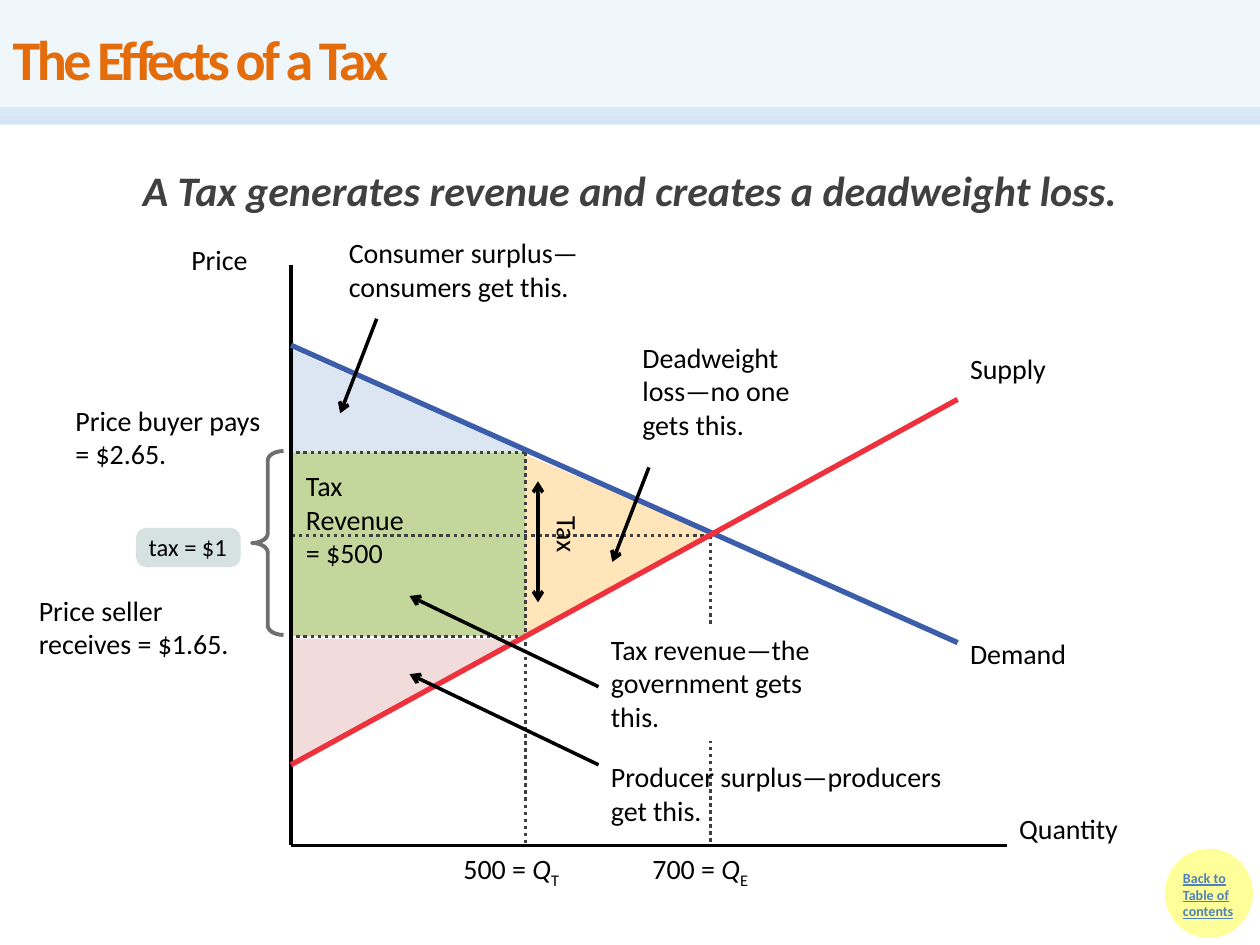
from dataclasses import dataclass

from lxml.etree import SubElement
from pptx import Presentation
from pptx.dml.color import RGBColor
from pptx.enum.dml import MSO_LINE
from pptx.enum.shapes import MSO_CONNECTOR, MSO_SHAPE
from pptx.enum.text import MSO_ANCHOR, MSO_AUTO_SIZE, PP_ALIGN
from pptx.oxml.ns import qn
from pptx.util import Inches, Pt

COLUMNS, ROWS = 100, 75
CELL = Inches(10) / COLUMNS
FONT = "Calibri"
BLACK, GREY = "000000", "404040"

# Key columns and rows of the supply and demand diagram
AXIS, TAXED, BALANCE, CURVE_END = 23.1, 41.7, 56.4, 76
BUYER_PRICE, BALANCE_PRICE, SELLER_PRICE, BASE = 35.9, 42.5, 50.5, 67.1
DEMAND_TOP, SUPPLY_BOTTOM = 27.4, 60.7


@dataclass
class Area:
    kind: MSO_SHAPE
    column: float
    row: float
    width: float
    height: float
    fill: str | None
    turn: float = 0
    flipped: bool = False
    adjustments: tuple[float, ...] = ()
    outline: str | None = None
    weight: float = 0


@dataclass
class Stroke:
    start: tuple[float, float]
    end: tuple[float, float]
    color: str = BLACK
    weight: float = 2
    dotted: bool = False
    arrows: tuple[str, ...] = ()


@dataclass
class Label:
    """Text whose paragraphs are split by line breaks; a subscript follows an italic Q."""
    text: str
    column: float
    row: float
    width: float
    height: float
    size: float = 16
    color: str = BLACK
    bold: bool = False
    italic: bool = False
    underline: bool = False
    centred: bool = False
    wrap: bool = True
    turn: float = 0
    fill: str | None = None
    inset: bool = True
    subscript: str = ""


AREAS = [
    Area(MSO_SHAPE.RIGHT_TRIANGLE, AXIS, 50.7, TAXED - AXIS, 10, "F2DCDB", flipped=True),
    Area(MSO_SHAPE.ISOSCELES_TRIANGLE, 41.9, BUYER_PRICE, 14.6, 15, "FFE5B9",
         turn=90, adjustments=(0.43,)),
    Area(MSO_SHAPE.RIGHT_TRIANGLE, AXIS, 27.7, TAXED - AXIS, 8.2, "DCE6F2"),
    Area(MSO_SHAPE.RECTANGLE, AXIS, BUYER_PRICE, TAXED - AXIS,
         SELLER_PRICE - BUYER_PRICE, "C3D69B"),
    Area(MSO_SHAPE.LEFT_BRACE, 20, 35.8, 2.5, 14.6, None,
         adjustments=(0.3, 0.5), outline="6D6F71", weight=2.25),
    Area(MSO_SHAPE.ROUNDED_RECTANGLE, 10.8, 41.9, 8.3, 3.1, "D6E2E0", adjustments=(0.25,)),
]

GUIDES = [
    Stroke(start, end, GREY, dotted=True)
    for start, end in [
        ((TAXED, BUYER_PRICE), (TAXED, BASE)),
        ((TAXED, BUYER_PRICE), (AXIS, BUYER_PRICE)),
        ((TAXED, SELLER_PRICE), (AXIS, SELLER_PRICE)),
        ((BALANCE, BALANCE_PRICE), (AXIS, BALANCE_PRICE)),
        ((BALANCE, BALANCE_PRICE), (BALANCE, BASE)),
    ]
]
AXES = [Stroke((AXIS, 21), (AXIS, BASE)), Stroke((AXIS, BASE), (79.9, BASE))]
CURVES = [
    Stroke((AXIS, DEMAND_TOP), (CURVE_END, 51), "3C5DAA", 3),
    Stroke((AXIS, SUPPLY_BOTTOM), (CURVE_END, 31.7), "EE313C", 3),
]
TAX_SPAN = Stroke((42.7, 38.2), (42.7, 47.8), arrows=("headEnd", "tailEnd"))
POINTERS = [
    Stroke(start, end, arrows=("tailEnd",))
    for start, end in [
        ((29.9, 25.3), (27, 32.8)),
        ((47.5, 60.7), (32.5, 53.5)),
        ((51.5, 37.1), (48.6, 44.6)),
        ((47.5, 54.5), (32.5, 47.3)),
    ]
]

LABELS = [
    Label("A Tax generates revenue and creates a deadweight loss.", 0, 12.6, COLUMNS, 5,
          24, GREY, bold=True, italic=True, centred=True),
    Label("Price", 14.2, 18.8, 6.6, 3.7, wrap=False),
    Label("Quantity", 79.9, 63.9, 13.4, 3.7),
    Label("Demand", CURVE_END, 50, 10.1, 3.7, wrap=False),
    Label("Supply", CURVE_END, 27.4, 8.5, 3.7, wrap=False),
    Label("Consumer surplus— consumers get this.", 26.7, 18.2, 26.7, 6.4),
    Label("Deadweight loss—no one gets this.", 50, 26.5, 16.6, 9.1),
    Label("Price buyer pays = $2.65.", 5, 31.5, 17.5, 6.4),
    Label("Price seller receives = $1.65.", 2.1, 46.6, 19.2, 6.4),
    Label("500 = ", 35.8, BASE, 14.5, 3.7, subscript="T"),
    Label("700 = ", 50.8, BASE, 18.9, 3.7, subscript="E"),
    Label("Tax", 42.5, 40.7, 5.1, 3.7, wrap=False, turn=90),
    Label("Tax revenue—the government gets this.", 47.5, 49.7, 20.8, 9.1, fill="FFFFFF"),
    Label("Producer surplus—producers get this.", 47.5, 59.8, 29.2, 6.4),
    Label("Tax Revenue\n= $500", 23.3, 36.7, 12.7, 9.4),
    Label("tax = $1", 11.8, 42.2, 7.4, 2.4, 14, inset=False),
]

HEADER_HEIGHT = 9.2
HEADER_RULE = Stroke((0, HEADER_HEIGHT), (COLUMNS, HEADER_HEIGHT), "C6D9F1", 10)
BACK_BUTTON = Area(MSO_SHAPE.OVAL, 92.6, 67.5, 6.7, 6.8, "FFFF99",
                   outline="FFFF99", weight=2)
BACK_LABEL = Label("Back to Table of contents", 92.9, 68.5, 7.2, 6.7, 8, "4F81BD",
                   bold=True, underline=True)


def cells(*counts: float) -> list[int]:
    return [round(count * CELL) for count in counts]


def paint(target, color: str) -> None:
    """Give a fill one solid colour."""
    target.solid()
    target.fore_color.rgb = RGBColor.from_string(color)


def set_opacity(shape, percent: int) -> None:
    for color in shape._element.spPr.iter(qn("a:srgbClr")):
        SubElement(color, qn("a:alpha")).set("val", str(percent * 1000))


def draw_area(page, area: Area) -> None:
    shape = page.shapes.add_shape(
        area.kind, *cells(area.column, area.row, area.width, area.height))
    shape.shadow.inherit = False
    shape.rotation = area.turn
    for index, value in enumerate(area.adjustments):
        shape.adjustments[index] = value
    if area.flipped:
        shape._element.spPr.find(qn("a:xfrm")).set("flipV", "1")
    for target, color in ((shape.fill, area.fill), (shape.line.fill, area.outline)):
        if color:
            paint(target, color)
        else:
            target.background()
    if area.outline:
        shape.line.width = Pt(area.weight)


def draw_stroke(page, stroke: Stroke):
    connector = page.shapes.add_connector(
        MSO_CONNECTOR.STRAIGHT, *cells(*stroke.start, *stroke.end))
    paint(connector.line.fill, stroke.color)
    connector.line.width = Pt(stroke.weight)
    if stroke.dotted:
        connector.line.dash_style = MSO_LINE.ROUND_DOT
    properties = connector._element.spPr
    for arrow in stroke.arrows:
        SubElement(properties.find(qn("a:ln")), qn(f"a:{arrow}")).set("type", "arrow")
    SubElement(properties, qn("a:effectLst"))
    return connector


def set_font(font, size: float, color: str, bold: bool = False) -> None:
    font.name, font.size, font.bold = FONT, Pt(size), bold
    font.color.rgb = RGBColor.from_string(color)


def draw_label(page, label: Label) -> None:
    box = page.shapes.add_textbox(
        *cells(label.column, label.row, label.width, label.height))
    box.rotation = label.turn
    if label.fill:
        paint(box.fill, label.fill)
    frame = box.text_frame
    frame.text = label.text
    frame.word_wrap = label.wrap
    frame.auto_size = MSO_AUTO_SIZE.SHAPE_TO_FIT_TEXT
    if not label.inset:
        frame.margin_left = frame.margin_top = frame.margin_right = frame.margin_bottom = 0
    for para in frame.paragraphs:
        set_font(para.font, label.size, label.color, label.bold)
        para.font.italic, para.font.underline = label.italic, label.underline
        para.alignment = PP_ALIGN.CENTER if label.centred else PP_ALIGN.LEFT
    if label.subscript:
        para = frame.paragraphs[0]
        quantity, index = para.add_run(), para.add_run()
        quantity.text, index.text = "Q", label.subscript
        quantity.font.italic = True
        index.font._element.set("baseline", "-25000")


def draw_title(page, text: str) -> None:
    title = page.shapes.title
    title.left, title.top, title.width, title.height = cells(0, 0, COLUMNS, HEADER_HEIGHT)
    paint(title.fill, "DBEEF4")
    set_opacity(title, 44)
    frame = title.text_frame
    frame.text = text
    frame.vertical_anchor = MSO_ANCHOR.MIDDLE
    frame.auto_size = MSO_AUTO_SIZE.NONE
    para = frame.paragraphs[0]
    para.alignment = PP_ALIGN.LEFT
    span = para.runs[0]
    set_font(span.font, 32, "E46C0A", bold=True)
    span.font._element.set("spc", "-200")
    page.shapes._spTree.append(title._element)


def main() -> None:
    deck = Presentation()
    deck.slide_width, deck.slide_height = cells(COLUMNS, ROWS)
    page = deck.slides.add_slide(deck.slide_layouts[5])
    set_opacity(draw_stroke(page, HEADER_RULE), 71)
    draw_area(page, BACK_BUTTON)
    draw_label(page, BACK_LABEL)
    draw_title(page, "The Effects of a Tax")
    for area in AREAS:
        draw_area(page, area)
    for stroke in [*GUIDES, *AXES, *CURVES, TAX_SPAN]:
        draw_stroke(page, stroke)
    for label in LABELS:
        draw_label(page, label)
    for pointer in POINTERS:
        draw_stroke(page, pointer)
    deck.save("out.pptx")


if __name__ == "__main__":
    main()
